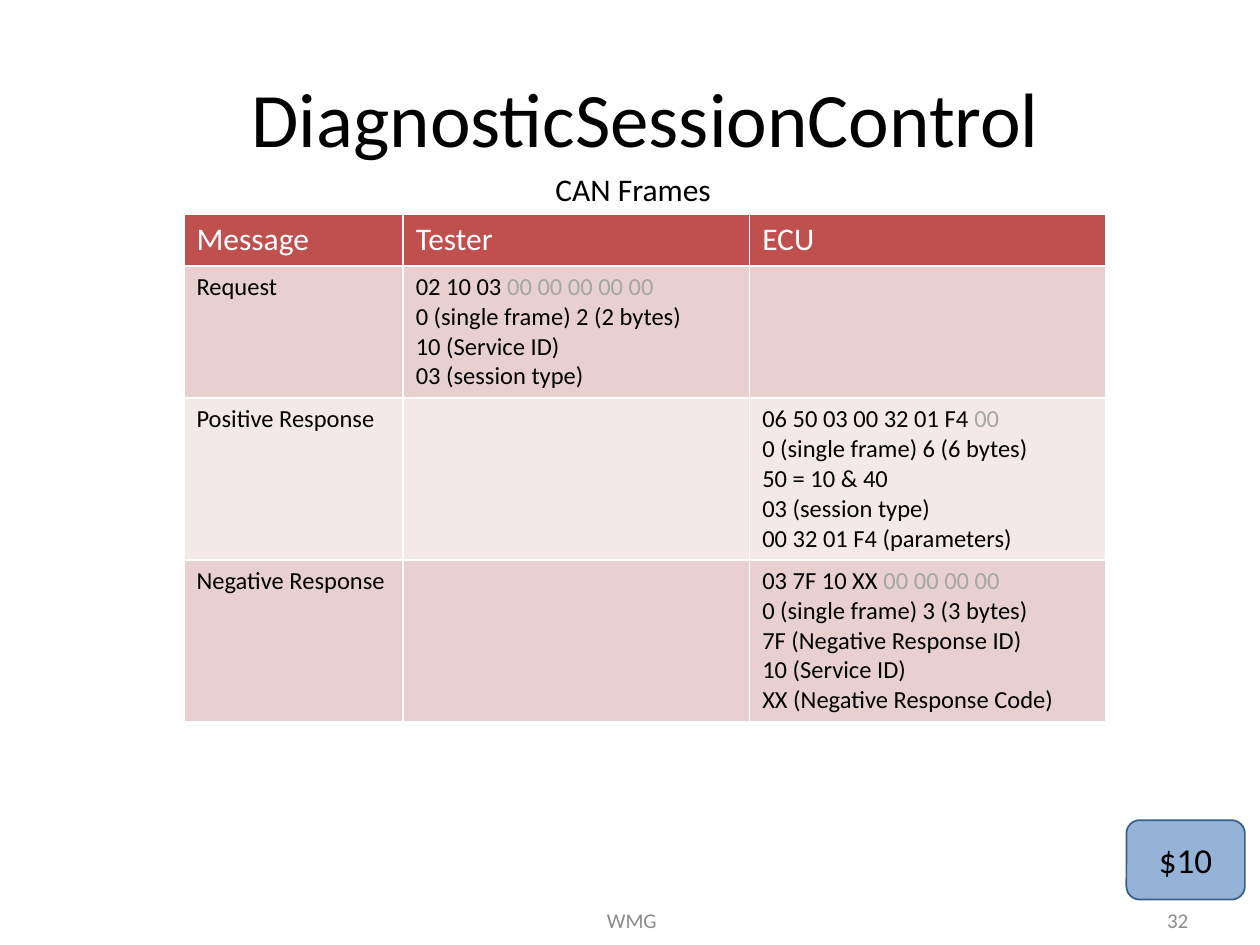
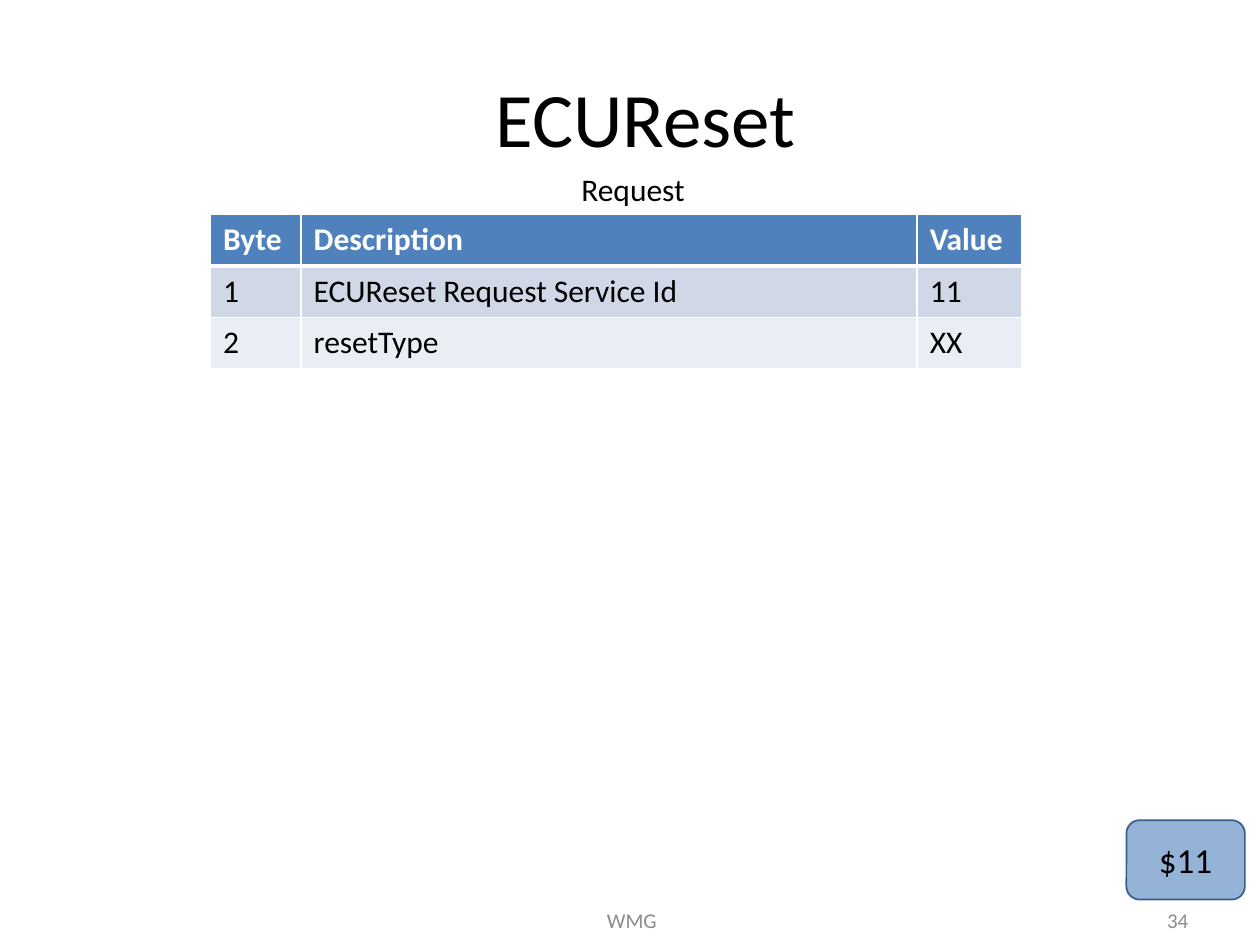
"""Build two slides on diagnostic services, each with a caption and a table."""
from lxml import etree
from pptx import Presentation
from pptx.dml.color import RGBColor
from pptx.enum.shapes import MSO_SHAPE
from pptx.enum.text import MSO_ANCHOR, PP_ALIGN
from pptx.oxml.ns import qn
from pptx.util import Inches, Pt

FONT = "Calibri"
BLACK = RGBColor(0x00, 0x00, 0x00)
WHITE = RGBColor(0xFF, 0xFF, 0xFF)
PADDING_GRAY = RGBColor(0xA6, 0xA6, 0xA6)
FOOTER_GRAY = RGBColor(0x8C, 0x8C, 0x8C)
BADGE_FILL = RGBColor(0x95, 0xB3, 0xD7)
BADGE_LINE = RGBColor(0x3A, 0x5F, 0x8C)
RED = RGBColor(0xC0, 0x50, 0x4D)
RED_BANDS = (RGBColor(0xE8, 0xD0, 0xD0), RGBColor(0xF4, 0xE9, 0xE9))
BLUE = RGBColor(0x4F, 0x81, 0xBD)
BLUE_BANDS = (RGBColor(0xD0, 0xD8, 0xE8), RGBColor(0xE9, 0xED, 0xF4))

CENTER, LEFT, RIGHT = PP_ALIGN.CENTER, PP_ALIGN.LEFT, PP_ALIGN.RIGHT
MIDDLE, TOP = MSO_ANCHOR.MIDDLE, MSO_ANCHOR.TOP
ROUNDED_RECTANGLE = MSO_SHAPE.ROUNDED_RECTANGLE

TITLE_BOX = (0.75, 0.3, 8.75, 1.25)
BADGE_BOX = (8.94, 6.51, 0.94, 0.63)
FOOTER_BOX = (3.43, 7.1, 3.17, 0.4)
NUMBER_BOX = (7.2, 7.1, 2.33, 0.4)
CAPTION_TOP, CAPTION_HEIGHT, TABLE_TOP = 1.3, 0.4, 1.7
FOOTER = "WMG"
PADDING_MARK = "|"

SLIDES = [
    {
        "title": "DiagnosticSessionControl",
        "caption": "CAN Frames",
        "caption_span": (4.3, 1.45),
        "badge": "$10",
        "number": "32",
        "table_left": 1.46,
        "columns": (1.74, 2.75, 2.83),
        "row_heights": (0.41, 1.05, 1.28, 1.28),
        "header_fill": RED,
        "bands": RED_BANDS,
        "header_bold": False,
        "header_rule": 1,
        "body_size": 14,
        "rows": [
            (["Message"], ["Tester"], ["ECU"]),
            (
                ["Request"],
                ["02 10 03 |00 00 00 00 00", "0 (single frame) 2 (2 bytes)",
                 "10 (Service ID)", "03 (session type)"],
                [],
            ),
            (
                ["Positive Response"],
                [],
                ["06 50 03 00 32 01 F4| 00", "0 (single frame) 6 (6 bytes)",
                 "50 = 10 & 40", "03 (session type)", "00 32 01 F4 (parameters)"],
            ),
            (
                ["Negative Response"],
                [],
                ["03 7F 10 XX| 00 00 00 00", "0 (single frame) 3 (3 bytes)",
                 "7F (Negative Response ID)", "10 (Service ID)",
                 "XX (Negative Response Code)"],
            ),
        ],
    },
    {
        "title": "ECUReset",
        "caption": "Request",
        "caption_span": (4.51, 1.03),
        "badge": "$11",
        "number": "34",
        "table_left": 1.67,
        "columns": (0.72, 4.89, 0.83),
        "row_heights": (0.41, 0.41, 0.41),
        "header_fill": BLUE,
        "bands": BLUE_BANDS,
        "header_bold": True,
        "header_rule": 3,
        "body_size": 18,
        "rows": [
            (["Byte"], ["Description"], ["Value"]),
            (["1"], ["ECUReset Request Service Id"], ["11"]),
            (["2"], ["resetType"], ["XX"]),
        ],
    },
]


def style_font(font, size, color, bold=False):
    font.name, font.size, font.bold = FONT, Pt(size), bold
    font.color.rgb = color


def write_text(shape, text, size, color, alignment=CENTER, anchor=MIDDLE, wrap=True):
    frame = shape.text_frame
    frame.text = text
    frame.word_wrap = wrap
    frame.vertical_anchor = anchor
    paragraph = frame.paragraphs[0]
    paragraph.alignment = alignment
    style_font(paragraph.runs[0].font, size, color)


def add_label(slide, box, *text_settings, **text_options):
    label = slide.shapes.add_textbox(*map(Inches, box))
    write_text(label, *text_settings, **text_options)


def add_title(slide, text):
    title = slide.shapes.title
    title.left, title.top, title.width, title.height = map(Inches, TITLE_BOX)
    write_text(title, text, 44, BLACK)


def add_badge(slide, text):
    badge = slide.shapes.add_shape(ROUNDED_RECTANGLE, *map(Inches, BADGE_BOX))
    badge.shadow.inherit = False
    badge.fill.solid()
    badge.fill.fore_color.rgb = BADGE_FILL
    badge.line.color.rgb = BADGE_LINE
    badge.line.width = Pt(1)
    write_text(badge, text, 20, BLACK)


def set_borders(cell, top, bottom):
    properties = cell._tc.get_or_add_tcPr()
    widths = {"a:lnL": 1, "a:lnR": 1, "a:lnT": top, "a:lnB": bottom}
    for position, (tag, width) in enumerate(widths.items()):
        border = etree.Element(qn(tag), w=str(Pt(width)))
        fill = etree.SubElement(border, qn("a:solidFill"))
        etree.SubElement(fill, qn("a:srgbClr"), val=str(WHITE))
        properties.insert(position, border)


def fill_cell(cell, lines, fill, size, color, bold):
    cell.fill.solid()
    cell.fill.fore_color.rgb = fill
    frame = cell.text_frame
    frame.paragraphs[0].font.size = Pt(size)
    for index, line in enumerate(lines):
        paragraph = frame.add_paragraph() if index else frame.paragraphs[0]
        paragraph.alignment = LEFT
        for part, part_color in zip(line.split(PADDING_MARK), (color, PADDING_GRAY)):
            run = paragraph.add_run()
            run.text = part
            style_font(run.font, size, part_color, bold)


def add_message_table(slide, content):
    rows, columns, heights = content["rows"], content["columns"], content["row_heights"]
    box = (content["table_left"], TABLE_TOP, sum(columns), sum(heights))
    table = slide.shapes.add_table(len(rows), len(columns), *map(Inches, box)).table
    for column, width in zip(table.columns, columns):
        column.width = Inches(width)
    for row, height in zip(table.rows, heights):
        row.height = Inches(height)
    rule = content["header_rule"]
    for row_index, row in enumerate(rows):
        if row_index == 0:
            style = (content["header_fill"], 18, WHITE, content["header_bold"])
        else:
            band = content["bands"][(row_index - 1) % 2]
            style = (band, content["body_size"], BLACK, False)
        for column_index, lines in enumerate(row):
            cell = table.cell(row_index, column_index)
            fill_cell(cell, lines, *style)
            set_borders(cell, rule if row_index == 1 else 1, rule if row_index == 0 else 1)


def build_slide(presentation, content):
    slide = presentation.slides.add_slide(presentation.slide_layouts[5])
    add_title(slide, content["title"])
    add_message_table(slide, content)
    add_badge(slide, content["badge"])
    left, width = content["caption_span"]
    caption_box = (left, CAPTION_TOP, width, CAPTION_HEIGHT)
    add_label(slide, caption_box, content["caption"], 18, BLACK, anchor=TOP, wrap=False)
    add_label(slide, FOOTER_BOX, FOOTER, 12, FOOTER_GRAY)
    add_label(slide, NUMBER_BOX, content["number"], 12, FOOTER_GRAY, alignment=RIGHT)


def main():
    presentation = Presentation()
    presentation.slide_width, presentation.slide_height = Inches(10), Inches(7.5)
    for content in SLIDES:
        build_slide(presentation, content)
    presentation.save("out.pptx")


if __name__ == "__main__":
    main()
